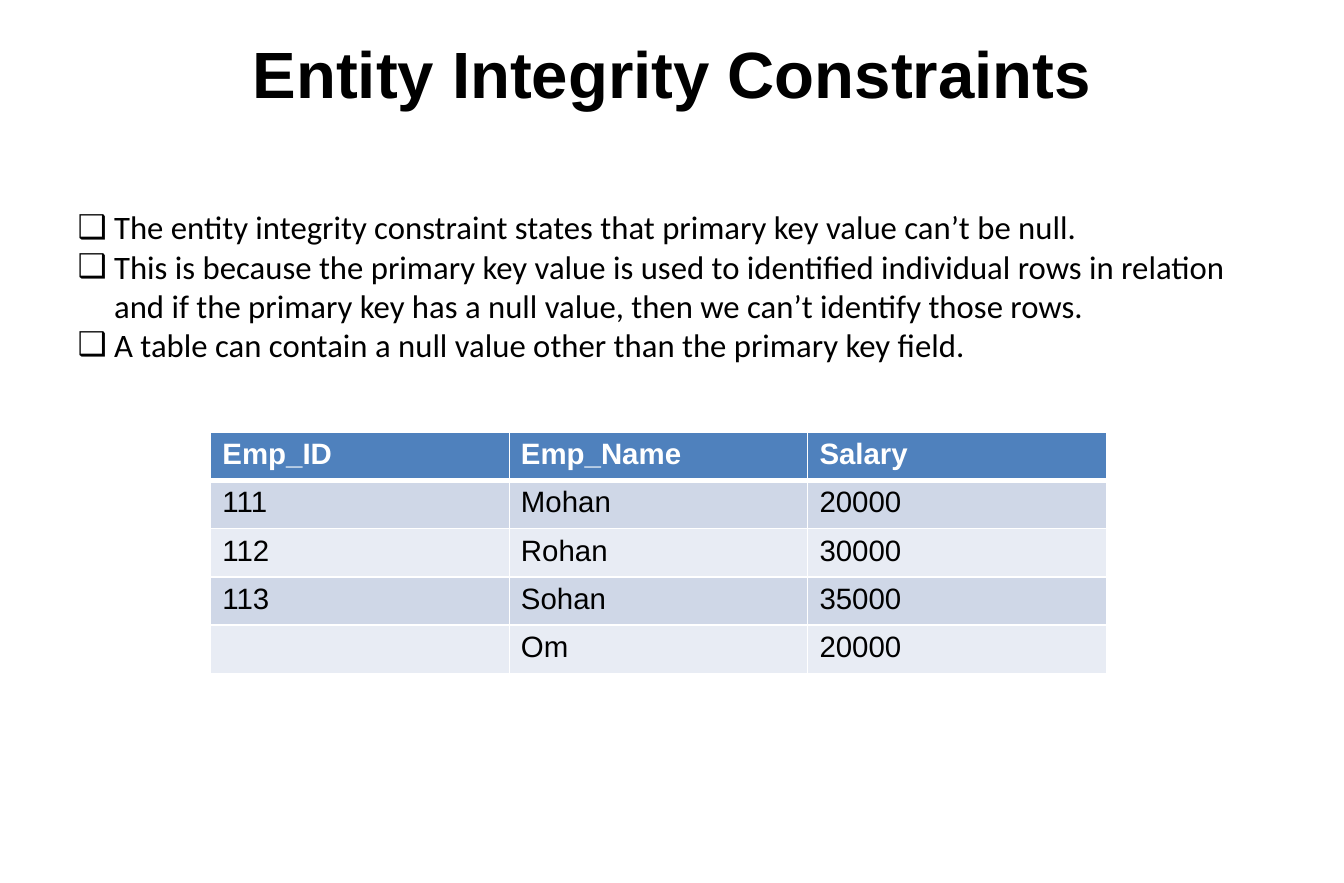
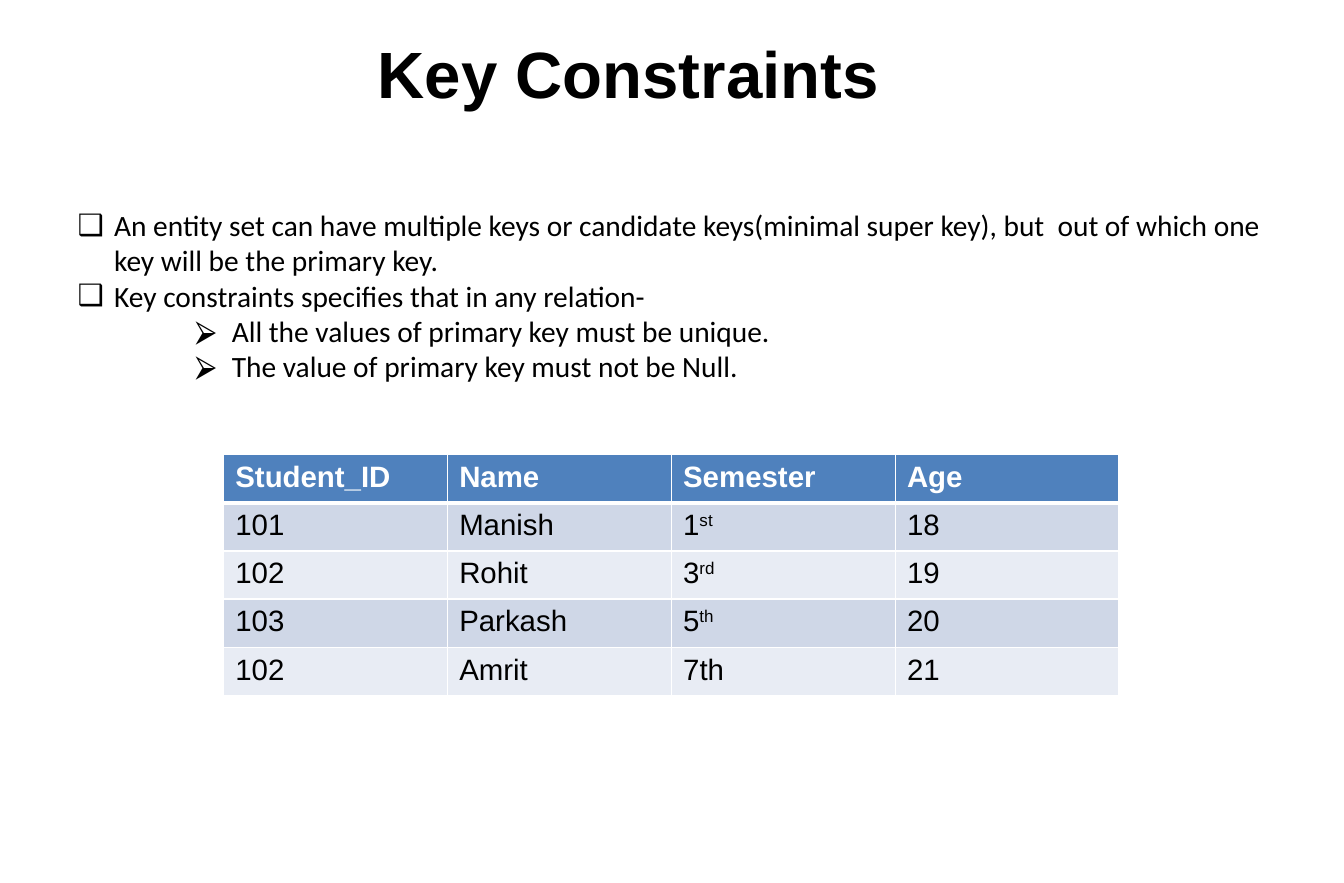
from lxml import etree
from pptx import Presentation
from pptx.dml.color import RGBColor
from pptx.enum.text import MSO_ANCHOR, PP_ALIGN
from pptx.oxml.ns import qn
from pptx.util import Inches, Pt

LEFT, CENTER, TOP = PP_ALIGN.LEFT, PP_ALIGN.CENTER, MSO_ANCHOR.TOP
HEX = {"ink": "000000", "white": "FFFFFF", "head": "4F81BD",
       "odd": "CFD7E7", "even": "E8ECF4"}
HEAD, BODY = "Arial", "Calibri"
BOX, ARROW = "❑", "⮚"
HANG = 0.31
INDENT = {BOX: 0.31, ARROW: 1.31}
ROW = 0.41


def rgb(name):
    return RGBColor.from_string(HEX[name])


def add_run(para, text, font, size, color="ink", bold=False, raised=False):
    run = para.add_run()
    run.text = text
    run.font.name, run.font.size = font, Pt(size)
    run.font.bold = bold
    run.font.color.rgb = rgb(color)
    if raised:
        run.font._element.set("baseline", "30000")


def add_frame(slide, box, top=0):
    frame = slide.shapes.add_textbox(*map(Inches, box)).text_frame
    frame.word_wrap = True
    frame.vertical_anchor = TOP
    frame.margin_left = frame.margin_right = frame.margin_bottom = 0
    frame.margin_top = Inches(top)
    return frame


def add_title(slide, box, text, align):
    para = add_frame(slide, box, top=0.07).paragraphs[0]
    para.alignment = align
    add_run(para, text, HEAD, 40, bold=True)


def set_bullet(para, mark):
    props = para._p.get_or_add_pPr()
    props.set("marL", str(Inches(INDENT[mark])))
    props.set("indent", str(-Inches(HANG)))
    color = etree.SubElement(props, qn("a:buClr"))
    etree.SubElement(color, qn("a:srgbClr"), val=HEX["ink"])
    etree.SubElement(props, qn("a:buFont"), typeface=HEAD)
    etree.SubElement(props, qn("a:buChar"), char=mark)


def add_bullets(slide, box, size, items):
    frame = add_frame(slide, box)
    for i, (mark, text) in enumerate(items):
        para = frame.add_paragraph() if i else frame.paragraphs[0]
        set_bullet(para, mark)
        add_run(para, text, BODY, size)


def set_borders(cell, row):
    props = cell._tc.get_or_add_tcPr()
    # The rule between header and body is thicker
    widths = {"lnL": 1, "lnR": 1, "lnT": 3 if row == 1 else 1,
              "lnB": 3 if row == 0 else 1}
    for side, width in widths.items():
        line = etree.SubElement(props, qn("a:" + side), w=str(Pt(width)))
        fill = etree.SubElement(line, qn("a:solidFill"))
        etree.SubElement(fill, qn("a:srgbClr"), val=HEX["white"])


def add_grid(slide, left, top, width, rows):
    count = len(rows[0])
    table = slide.shapes.add_table(
        len(rows), count, Inches(left), Inches(top),
        Inches(width), Inches(ROW * len(rows))).table
    for col in table.columns:
        col.width = Inches(width / count)
    for r, row in enumerate(rows):
        shade = "head" if r == 0 else "odd" if r % 2 else "even"
        for c, value in enumerate(row):
            cell = table.cell(r, c)
            set_borders(cell, r)
            cell.fill.solid()
            cell.fill.fore_color.rgb = rgb(shade)
            # A pair holds a number and its raised ending
            parts = value if isinstance(value, tuple) else (value,)
            for i, text in enumerate(parts):
                add_run(cell.text_frame.paragraphs[0], text, HEAD, 18,
                        "ink" if r else "white", r == 0, i > 0)


def add_slide(deck, title, bullets, grid):
    slide = deck.slides.add_slide(deck.slide_layouts[6])
    add_title(slide, *title)
    add_bullets(slide, *bullets)
    add_grid(slide, *grid)


def main():
    deck = Presentation()
    deck.slide_width, deck.slide_height = Inches(11.42), Inches(7.5)

    # Entity integrity
    add_slide(
        deck,
        ((1.71, 0.21, 8, 0.67), "Entity Integrity Constraints", CENTER),
        ((0.66, 1.76, 10.11, 1.68), 20, [
            (BOX, "The entity integrity constraint states that primary key "
                  "value can’t be null."),
            (BOX, "This is because the primary key value is used to "
                  "identified individual rows in relation and if the primary "
                  "key has a null value, then we can’t identify those rows."),
            (BOX, "A table can contain a null value other than the primary "
                  "key field."),
        ]),
        (1.79, 3.67, 7.61, [
            ("Emp_ID", "Emp_Name", "Salary"),
            ("111", "Mohan", "20000"),
            ("112", "Rohan", "30000"),
            ("113", "Sohan", "35000"),
            ("", "Om", "20000"),
        ]))

    # Key constraints
    add_slide(
        deck,
        ((3.21, 0.21, 4.92, 0.96), "Key Constraints", LEFT),
        ((0.66, 1.76, 10.11, 1.51), 18, [
            (BOX, "An entity set can have multiple keys or candidate "
                  "keys(minimal super key), but  out of which one key will "
                  "be the primary key."),
            (BOX, "Key constraints specifies that in any relation-"),
            (ARROW, "All the values of primary key must be unique."),
            (ARROW, "The value of primary key must not be Null."),
        ]),
        (1.9, 3.86, 7.61, [
            ("Student_ID", "Name", "Semester", "Age"),
            ("101", "Manish", ("1", "st"), "18"),
            ("102", "Rohit", ("3", "rd"), "19"),
            ("103", "Parkash", ("5", "th"), "20"),
            ("102", "Amrit", "7th", "21"),
        ]))

    deck.save("out.pptx")


if __name__ == "__main__":
    main()
